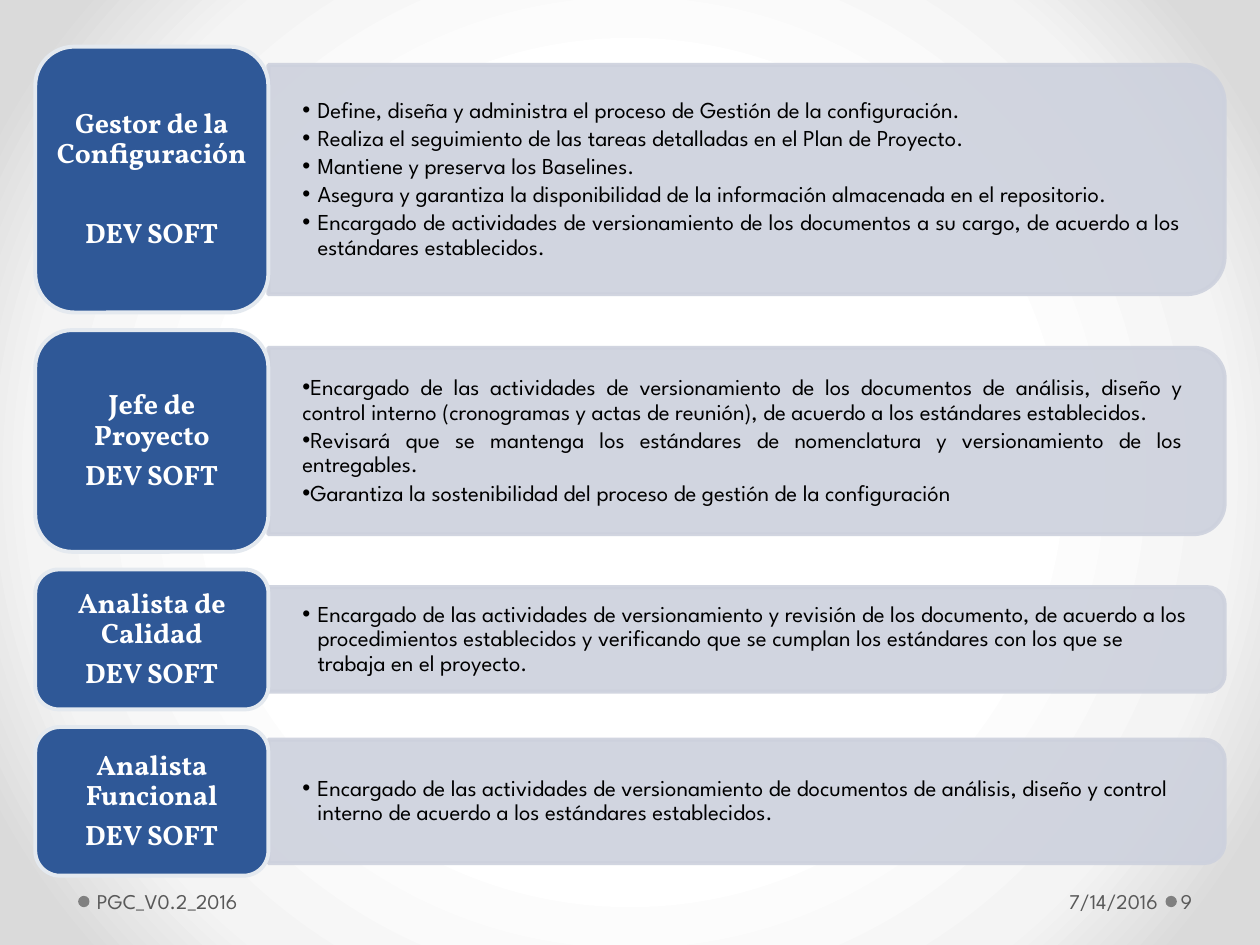
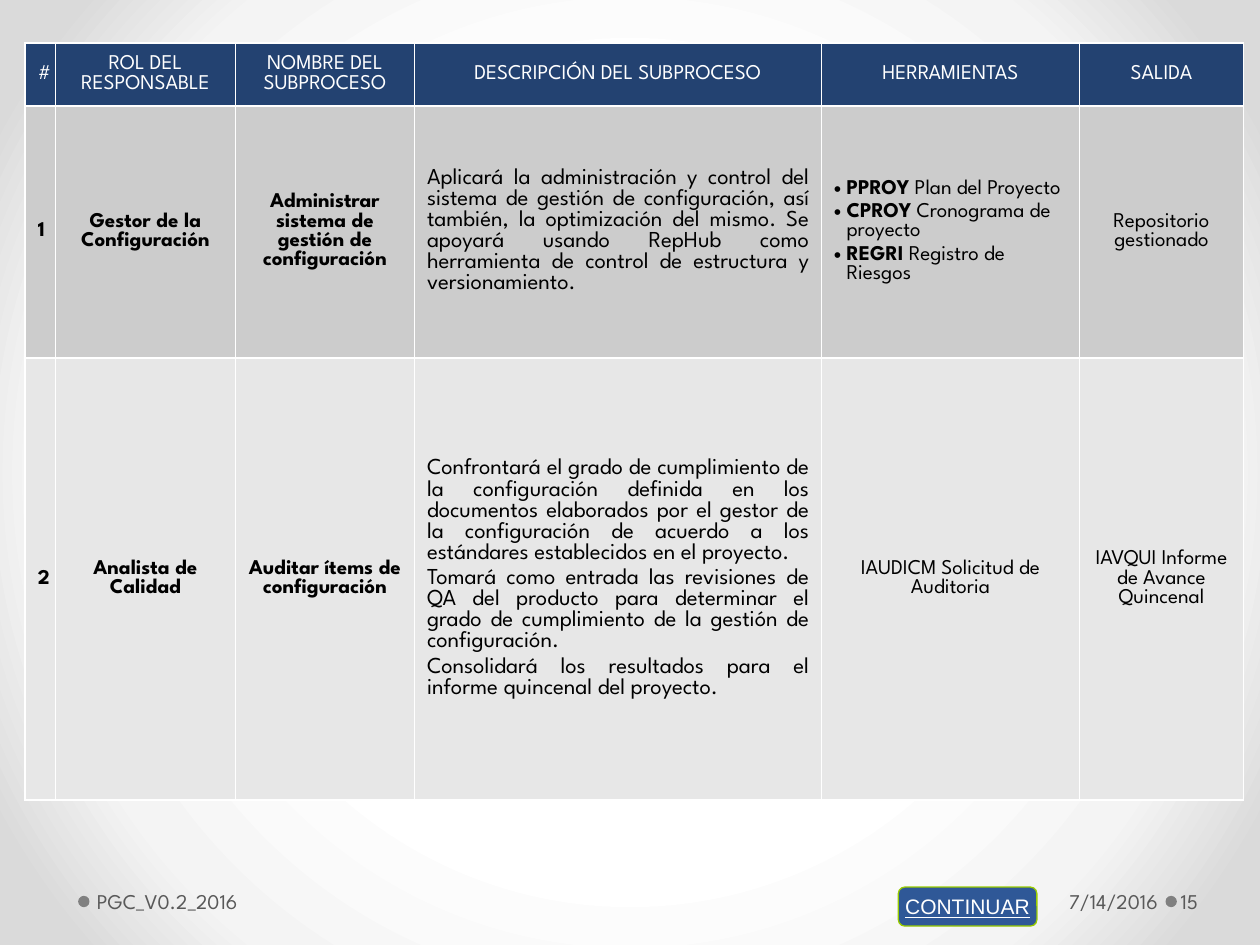
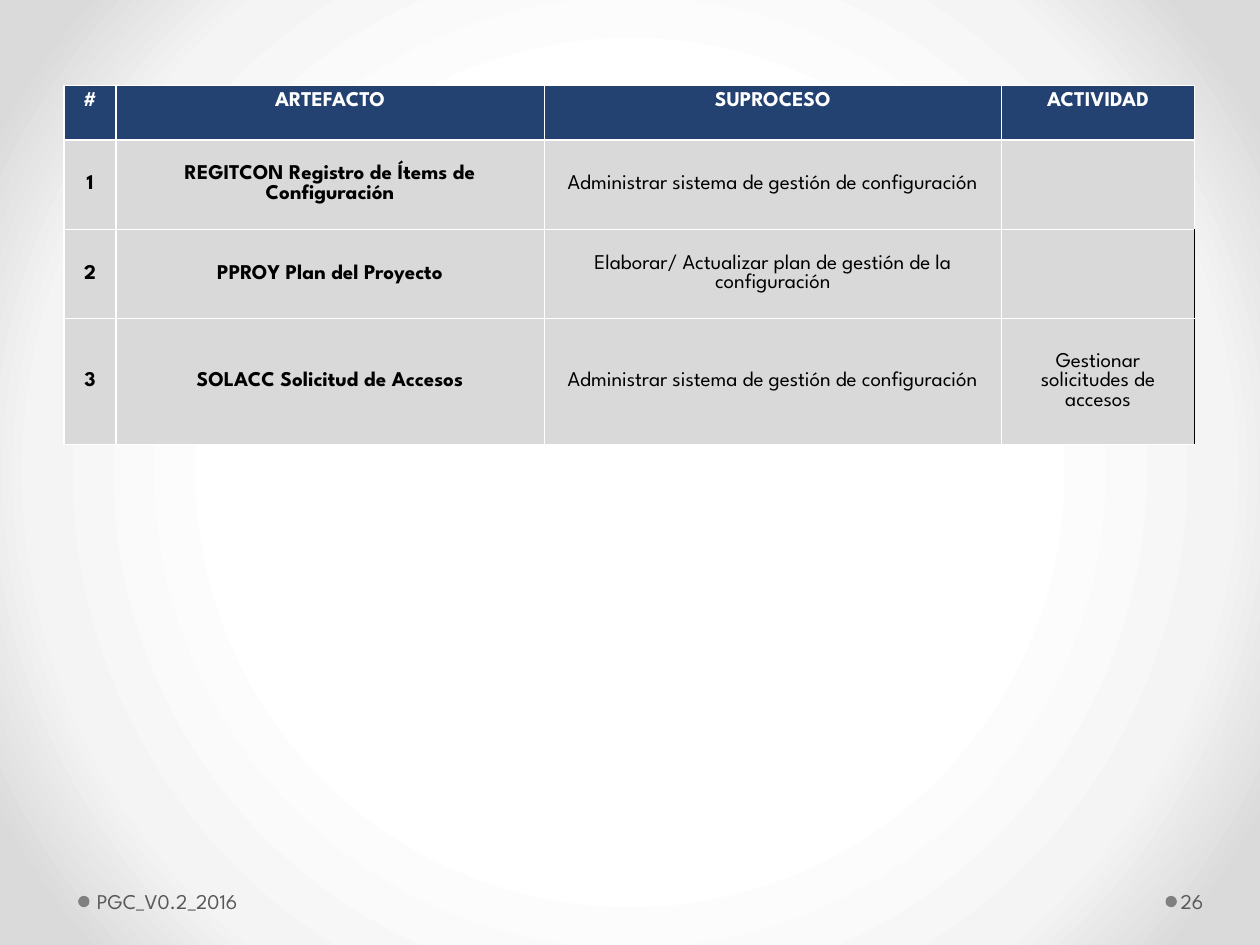
"""Build three slides on the roles, subprocesses and artefacts of configuration management."""
from dataclasses import dataclass

from lxml import etree
from pptx import Presentation
from pptx import util as u
from pptx.dml.color import RGBColor
from pptx.enum import shapes, text
from pptx.oxml import ns

ALIGN = text.PP_ALIGN
ANCHOR = text.MSO_ANCHOR
SHAPE = shapes.MSO_SHAPE


@dataclass(frozen=True)
class Theme:
    body_font: str = "League Spartan"
    role_font: str = "Vollkorn"
    button_font: str = "Arial"
    white: str = "FFFFFF"
    black: str = "000000"
    role: str = "2F5897"
    role_edge: str = "E4E9EF"
    panel: str = "CDD1DD"
    header: str = "234271"
    button_edge: str = "99CC00"
    footer: str = "595959"
    dot: str = "808080"
    row_dark: str = "CCCCCC"
    row_light: str = "E7E7E7"
    row_plain: str = "D9D9D9"
    backdrop: tuple = ((50, "FFFFFF"), (76, "F4F4F4"), (92, "DADADA"))
    small: int = 12
    medium: int = 13
    large: int = 16


def add_node(parent, tag, **attributes):
    return etree.SubElement(parent, ns.qn(tag), attributes)


class Builder:
    def __init__(self, theme):
        self.theme = theme
        self.deck = Presentation()
        self.deck.slide_width, self.deck.slide_height = u.Inches(10), u.Inches(7.5)
        self.page = None
        self.paint_backdrop()

    def paint_backdrop(self):
        fill = self.deck.slide_master.background.fill
        fill.gradient()
        gradient = next(self.deck.slide_master.element.iter(ns.qn("a:gradFill")))
        for child in list(gradient):
            gradient.remove(child)
        stops = add_node(gradient, "a:gsLst")
        for position, color in self.theme.backdrop:
            stop = add_node(stops, "a:gs", pos=str(position * 1000))
            add_node(stop, "a:srgbClr", val=color)
        circle = add_node(gradient, "a:path", path="circle")
        add_node(circle, "a:fillToRect", l="50000", t="50000", r="50000", b="50000")

    def new_page(self, number, date=None):
        self.page = self.deck.slides.add_slide(self.deck.slide_layouts[6])
        for left in (9.25, 0.62):
            self.shape(SHAPE.OVAL, (left, 7.11, 0.09, 0.09), self.theme.dot)
        self.footer(number, 9.34, 0.61, (0.03, 0.05))
        self.footer("PGC_V0.2_2016", 0.72, 3.96, (0.05, 0.1))
        if date:
            self.footer(date, 6.96, 2.28, (0.1, 0.05), ALIGN.RIGHT)

    def footer(self, words, left, width, sides, align=ALIGN.LEFT):
        frame = self.text_box((left, 6.95, width, 0.4), (sides[0], 0.05, sides[1], 0.05))
        self.set_text(frame, [words], color=self.theme.footer, align=align)

    def shape(self, kind, place, fill, line=None, line_width=2.25):
        shape = self.page.shapes.add_shape(kind, *map(u.Inches, place))
        shape.shadow.inherit = False
        shape.fill.solid()
        shape.fill.fore_color.rgb = RGBColor.from_string(fill)
        if line:
            shape.line.color.rgb = RGBColor.from_string(line)
            shape.line.width = u.Pt(line_width)
        else:
            shape.line.fill.background()
        return shape

    def text_box(self, place, insets):
        box = self.page.shapes.add_textbox(*map(u.Inches, place))
        return self.prepare(box.text_frame, insets)

    def prepare(self, frame, insets):
        frame.word_wrap = True
        frame.vertical_anchor = ANCHOR.MIDDLE
        frame.margin_left, frame.margin_top, frame.margin_right, frame.margin_bottom = map(u.Inches, insets)
        return frame

    def set_text(self, frame, paragraphs, font=None, size=None, color=None, bold=False,
                 align=ALIGN.LEFT, spacing=None, before=0, after=0, hang=None):
        for index, words in enumerate(paragraphs):
            para = frame.paragraphs[0] if index == 0 else frame.add_paragraph()
            para.alignment = align
            para.line_spacing = spacing
            para.space_before, para.space_after = u.Pt(before), u.Pt(after)
            if hang is not None:
                self.bullet(para, hang)
            para.font.name = font or self.theme.body_font
            para.font.size = u.Pt(size or self.theme.small)
            para.font.color.rgb = RGBColor.from_string(color or self.theme.black)
            para.font.bold = bold
            if isinstance(words, tuple):
                code, meaning = words
                span = para.add_run()
                span.text, span.font.bold = code, True
                para.add_run().text = f" {meaning}"
            else:
                para.add_run().text = words

    def bullet(self, para, hang):
        settings = para._p.get_or_add_pPr()
        settings.set("marL", str(u.Inches(hang)))
        settings.set("indent", str(-u.Inches(hang)))
        add_node(settings, "a:buFont", typeface="Arial")
        add_node(settings, "a:buChar", char="•")

    def role(self, top, height, panel_height, name, duties, align, hang=0.12, gap=5.5):
        theme = self.theme
        left, width, length = 0.28, 1.85, 7.59
        panel_left, middle = left + width, top + height / 2
        panel = self.shape(
            SHAPE.ROUND_2_SAME_RECTANGLE,
            (panel_left + (length - panel_height) / 2, middle - length / 2, panel_height, length),
            theme.panel, theme.panel)
        panel.rotation = 90
        for color in panel._element.spPr.iter(ns.qn("a:srgbClr")):
            add_node(color, "a:alpha", val="90000")
        inset = 0.05 * panel_height
        frame = self.text_box(
            (panel_left, middle - panel_height / 2 + inset, length - inset, panel_height - 2 * inset),
            (0.27, 0.14, 0.27, 0.14))
        self.set_text(frame, duties, size=theme.medium, align=align, spacing=0.9, after=2, hang=hang)

        card = self.shape(SHAPE.ROUNDED_RECTANGLE, (left, top, width, height), theme.role, theme.role_edge)
        frame = self.prepare(card.text_frame, (0.07, 0.03, 0.07, 0.03))
        self.set_text(frame, [name, "DEV SOFT"], font=theme.role_font, size=theme.large,
                      color=theme.white, bold=True, align=ALIGN.CENTER, spacing=0.9, after=5.5)
        frame.paragraphs[0].space_after = u.Pt(gap)

    def button(self, place, words):
        button = self.shape(SHAPE.FLOWCHART_ALTERNATE_PROCESS, place,
                            self.theme.role, self.theme.button_edge, 0.75)
        frame = button.text_frame
        frame.word_wrap = False
        frame.vertical_anchor = ANCHOR.MIDDLE
        self.set_text(frame, [words], font=self.theme.button_font, color=self.theme.white, align=ALIGN.CENTER)
        frame.paragraphs[0].font.underline = True

    def table(self, corner, widths, heights, rows, fills, bold_columns,
              prose_column=None, header_bold=False, header_anchor=ANCHOR.MIDDLE, dark_edges=()):
        theme = self.theme
        holder = self.page.shapes.add_table(
            len(rows), len(widths), *map(u.Inches, (*corner, sum(widths), sum(heights))))
        grid = holder.table
        for column, width in zip(grid.columns, widths):
            column.width = u.Inches(width)
        for row, height in zip(grid.rows, heights):
            row.height = u.Inches(height)
        for y, row in enumerate(rows):
            for x, content in enumerate(row):
                cell, heading = grid.cell(y, x), y == 0
                cell.vertical_anchor = header_anchor if heading else ANCHOR.MIDDLE
                cell.fill.solid()
                cell.fill.fore_color.rgb = RGBColor.from_string(fills[y])
                self.borders(cell, y in dark_edges and x == len(row) - 1)
                if not content:
                    continue
                paragraphs = content if isinstance(content, list) else [content]
                listed = isinstance(paragraphs[0], tuple)
                prose = x == prose_column and not heading
                align = ALIGN.JUSTIFY if prose else ALIGN.LEFT if listed else ALIGN.CENTER
                self.set_text(cell.text_frame, paragraphs,
                              size=theme.medium if prose else theme.small,
                              color=theme.white if heading else theme.black,
                              bold=header_bold if heading else x in bold_columns,
                              align=align, before=2.5, hang=0.1 if listed else None)

    def borders(self, cell, dark_right):
        settings = cell._tc.get_or_add_tcPr()
        for index, side in enumerate("LRTB"):
            line = etree.Element(ns.qn(f"a:ln{side}"), w=str(u.Pt(1)))
            color = self.theme.black if dark_right and side == "R" else self.theme.white
            add_node(add_node(line, "a:solidFill"), "a:srgbClr", val=color)
            settings.insert(index, line)


def add_roles(builder):
    builder.new_page("9", "7/14/2016")
    roles = [
        (2.11, 1.82, "Gestor de la Configuración", [
            "Define, diseña y administra el proceso de Gestión de la configuración.",
            "Realiza el seguimiento de las tareas detalladas en el Plan de Proyecto.",
            "Mantiene y preserva los Baselines.",
            "Asegura y garantiza la disponibilidad de la información almacenada en el repositorio.",
            "Encargado de actividades de versionamiento de los documentos a su cargo, "
            "de acuerdo a los estándares establecidos.",
        ], ALIGN.JUSTIFY, 0.12, 28.5),
        (1.76, 1.48, "Jefe de Proyecto", [
            "Encargado de las actividades de versionamiento de los documentos de análisis, diseño y "
            "control interno (cronogramas y actas de reunión), de acuerdo a los estándares establecidos.",
            "Revisará que se mantenga los estándares de nomenclatura y versionamiento de los entregables.",
            "Garantiza la sostenibilidad del proceso de gestión de la configuración",
        ], ALIGN.JUSTIFY, 0),
        (1.11, 0.83, "Analista de Calidad", [
            "Encargado de las actividades de versionamiento y revisión de los documento, de acuerdo a "
            "los procedimientos establecidos y verificando que se cumplan los estándares con los que se "
            "trabaja en el proyecto.",
        ], ALIGN.LEFT),
        (1.18, 0.98, "Analista Funcional", [
            "Encargado de las actividades de versionamiento de documentos de análisis, diseño y control "
            "interno de acuerdo a los estándares establecidos.",
        ], ALIGN.LEFT),
    ]
    top = 0.37
    for height, *details in roles:
        builder.role(top, height, *details)
        top += height + 0.14


def add_subprocesses(builder):
    theme = builder.theme
    builder.new_page("15", "7/14/2016")
    rows = [
        ["#", "ROL DEL RESPONSABLE", "NOMBRE DEL SUBPROCESO", "DESCRIPCIÓN DEL SUBPROCESO",
         "HERRAMIENTAS", "SALIDA"],
        ["1", "Gestor de la Configuración", "Administrar sistema de gestión de configuración",
         "Aplicará la administración y control del sistema de gestión de configuración, así también, "
         "la optimización del mismo. Se apoyará usando RepHub como herramienta de control de "
         "estructura y versionamiento.",
         [("PPROY", "Plan del Proyecto"), ("CPROY", "Cronograma de proyecto"),
          ("REGRI", "Registro de Riesgos")],
         "Repositorio gestionado"],
        ["2", "Analista de Calidad", "Auditar ítems de configuración",
         ["Confrontará el grado de cumplimiento de la configuración definida en los documentos "
          "elaborados por el gestor de la configuración de acuerdo a los estándares establecidos "
          "en el proyecto.",
          "Tomará como entrada las revisiones de QA del producto para determinar el grado de "
          "cumplimiento de la gestión de configuración.",
          "Consolidará los resultados para el informe quincenal del proyecto."],
         "IAUDICM Solicitud de Auditoria", "IAVQUI Informe de Avance Quincenal"],
    ]
    builder.table((0.2, 0.34), (0.23, 1.43, 1.42, 3.23, 2.05, 1.3), (0.5, 2, 3.51), rows,
                  (theme.header, theme.row_dark, theme.row_light), (0, 1, 2), prose_column=3)
    builder.button((7.13, 7.04, 1.1, 0.31), "CONTINUAR")


def add_artefacts(builder):
    theme = builder.theme
    builder.new_page("26")
    manage = "Administrar sistema de gestión de configuración"
    rows = [
        ["#", "ARTEFACTO", "SUPROCESO", "ACTIVIDAD"],
        ["1", "REGITCON Registro de Ítems de Configuración", manage, ""],
        ["2", "PPROY Plan del Proyecto", "Elaborar/ Actualizar plan de gestión de la configuración", ""],
        ["3", "SOLACC Solicitud de Accesos", manage, "Gestionar solicitudes de accesos"],
    ]
    builder.table((0.51, 0.68), (0.41, 3.4, 3.63, 1.53), (0.43, 0.71, 0.71, 1), rows,
                  (theme.header, *[theme.row_plain] * 3), (0, 1),
                  header_bold=True, header_anchor=ANCHOR.TOP, dark_edges=(2, 3))


def main():
    builder = Builder(Theme())
    add_roles(builder)
    add_subprocesses(builder)
    add_artefacts(builder)
    builder.deck.save("out.pptx")


if __name__ == "__main__":
    main()
